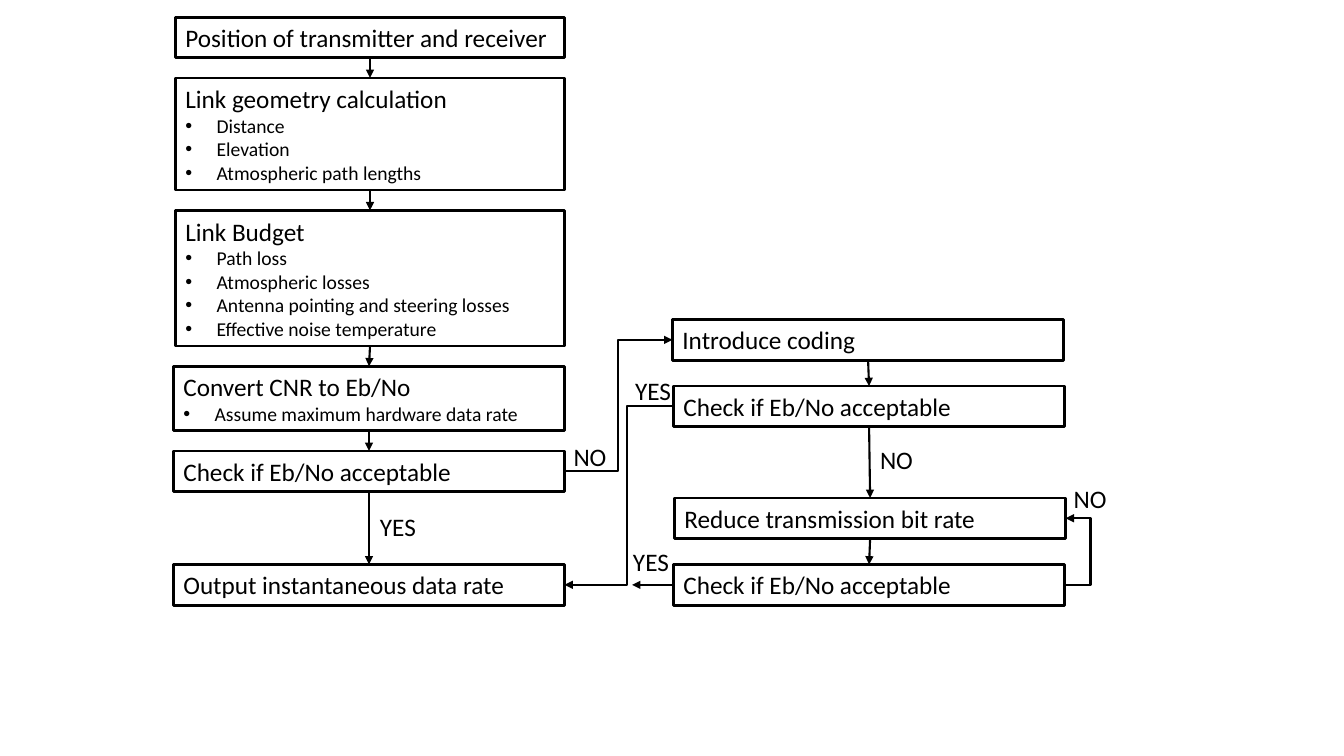
from lxml import etree
from pptx import Presentation
from pptx.dml.color import RGBColor
from pptx.enum.shapes import MSO_CONNECTOR, MSO_SHAPE
from pptx.enum.text import MSO_ANCHOR, MSO_AUTO_SIZE, PP_ALIGN
from pptx.oxml.ns import qn
from pptx.util import Inches, Pt

BLACK = RGBColor(0, 0, 0)
FONT = "Calibri"
RECTANGLE = MSO_SHAPE.RECTANGLE
STRAIGHT = MSO_CONNECTOR.STRAIGHT
ELBOW = MSO_CONNECTOR.ELBOW
LEFT = PP_ALIGN.LEFT
MIDDLE = MSO_ANCHOR.MIDDLE
FIT_SHAPE = MSO_AUTO_SIZE.SHAPE_TO_FIT_TEXT
TOP_SITE, LEFT_SITE, BOTTOM_SITE = 0, 1, 2

CELLS_PER_INCH = 10
BOX_WIDTH = 38.8
TITLE_HEIGHT = 4.04
BULLET_HEIGHT = 2.36
STEP_GAP = 2
LEFT_EDGE = 17.2
LEFT_END = LEFT_EDGE + BOX_WIDTH
RIGHT_EDGE = 66.8
RIGHT_END = RIGHT_EDGE + BOX_WIDTH
OUTPUT_ROW = 56

STEPS = [
    ("Position of transmitter and receiver", [], 0.2),
    ("Link geometry calculation",
     ["Distance", "Elevation", "Atmospheric path lengths"], 0.2),
    ("Link Budget",
     ["Path loss", "Atmospheric losses", "Antenna pointing and steering losses",
      "Effective noise temperature"], 0.2),
    ("Convert CNR to Eb/No", ["Assume maximum hardware data rate"], 0),
    ("Check if Eb/No acceptable", [], 0),
]
FALLBACKS = [
    ("Introduce coding", 66.7, 31.7),
    ("Check if Eb/No acceptable", RIGHT_EDGE, 38.3),
    ("Reduce transmission bit rate", 66.9, 49.4),
    ("Check if Eb/No acceptable", RIGHT_EDGE, OUTPUT_ROW),
]
ANSWERS = [
    ("YES", 36.7, 50.2),
    ("NO", 55.9, 43.3),
    ("YES", 62, 36.7),
    ("NO", 86.3, 43.6),
    ("YES", 61.8, 53.7),
    ("NO", 105.5, 47.5),
]


def grid(cells):
    return Inches(cells / CELLS_PER_INCH)


def write(paragraph, text, size=18, bullet=False):
    paragraph.alignment = LEFT
    run = paragraph.add_run()
    run.text = text
    run.font.name = FONT
    run.font.size = Pt(size)
    run.font.color.rgb = BLACK
    if bullet:
        properties = paragraph._p.get_or_add_pPr()
        properties.set("marL", str(Inches(0.31)))
        properties.set("indent", str(-Inches(0.31)))
        etree.SubElement(properties, qn("a:buFont"), typeface="Arial")
        etree.SubElement(properties, qn("a:buChar"), char="•")


def add_box(slide, title, column, row, width=BOX_WIDTH, bullets=()):
    height = TITLE_HEIGHT + BULLET_HEIGHT * len(bullets)
    box = slide.shapes.add_shape(
        RECTANGLE, grid(column), grid(row), grid(width), grid(height))
    box.shadow.inherit = False
    box.fill.background()
    box.line.color.rgb = BLACK
    box.line.width = Pt(2)
    frame = box.text_frame
    frame.word_wrap = True
    frame.auto_size = FIT_SHAPE
    frame.vertical_anchor = MIDDLE
    write(frame.paragraphs[0], title)
    for bullet in bullets:
        write(frame.add_paragraph(), bullet, size=14, bullet=True)
    return box


def add_answer(slide, text, column, row):
    width = 5.6 if text == "YES" else 5.3
    answer = slide.shapes.add_textbox(
        grid(column), grid(row), grid(width), grid(TITLE_HEIGHT))
    answer.text_frame.word_wrap = False
    answer.text_frame.auto_size = FIT_SHAPE
    write(answer.text_frame.paragraphs[0], text)


def add_arrow(slide, start=(0, 0), end=(0, 0), kind=STRAIGHT):
    points = [grid(cells) for cells in (*start, *end)]
    arrow = slide.shapes.add_connector(kind, *points)
    arrow.line.color.rgb = BLACK
    arrow.line.width = Pt(1.5)
    etree.SubElement(arrow.line._get_or_add_ln(), qn("a:tailEnd"), type="triangle")
    etree.SubElement(arrow._element.spPr, qn("a:effectLst"))
    return arrow


def add_down_arrow(slide, upper, lower):
    arrow = add_arrow(slide)
    arrow.begin_connect(upper, BOTTOM_SITE)
    arrow.end_connect(lower, TOP_SITE)


def add_bent_arrow(slide, start, end, bend_column):
    arrow = add_arrow(slide, start, end, ELBOW)
    share = (bend_column - start[0]) / (end[0] - start[0])
    guides = arrow._element.spPr.find(qn("a:prstGeom")).find(qn("a:avLst"))
    etree.SubElement(guides, qn("a:gd"), name="adj1", fmla=f"val {round(share * 100000)}")


def add_main_chain(slide):
    boxes = []
    row = 1.7
    for title, bullets, inset in STEPS:
        boxes.append(add_box(slide, title, LEFT_EDGE + inset, row,
                             BOX_WIDTH - inset, bullets))
        row += TITLE_HEIGHT + BULLET_HEIGHT * len(bullets) + STEP_GAP
    boxes.append(add_box(slide, "Output instantaneous data rate", LEFT_EDGE, OUTPUT_ROW))
    return boxes


def main():
    presentation = Presentation()
    presentation.slide_width = Inches(13.33)
    presentation.slide_height = Inches(7.5)
    slide = presentation.slides.add_slide(presentation.slide_layouts[6])

    main_chain = add_main_chain(slide)
    fallback_chain = [add_box(slide, *fallback) for fallback in FALLBACKS]
    for chain in (main_chain, fallback_chain):
        for upper, lower in zip(chain, chain[1:]):
            add_down_arrow(slide, upper, lower)

    middle = TITLE_HEIGHT / 2
    output_middle = OUTPUT_ROW + middle
    add_bent_arrow(slide, (LEFT_END, 46.7), (66.7, 31.7 + middle), 61.3)
    add_bent_arrow(slide, (RIGHT_EDGE, 38.3 + middle), (LEFT_END, output_middle), 62.2)
    add_bent_arrow(slide, (RIGHT_END, output_middle),
                   (RIGHT_END + 0.1, 49.4 + middle), 108.2)
    final_yes = add_arrow(slide, end=(62.7, output_middle))
    final_yes.begin_connect(fallback_chain[-1], LEFT_SITE)

    for answer in ANSWERS:
        add_answer(slide, *answer)
    presentation.save("out.pptx")


main()
